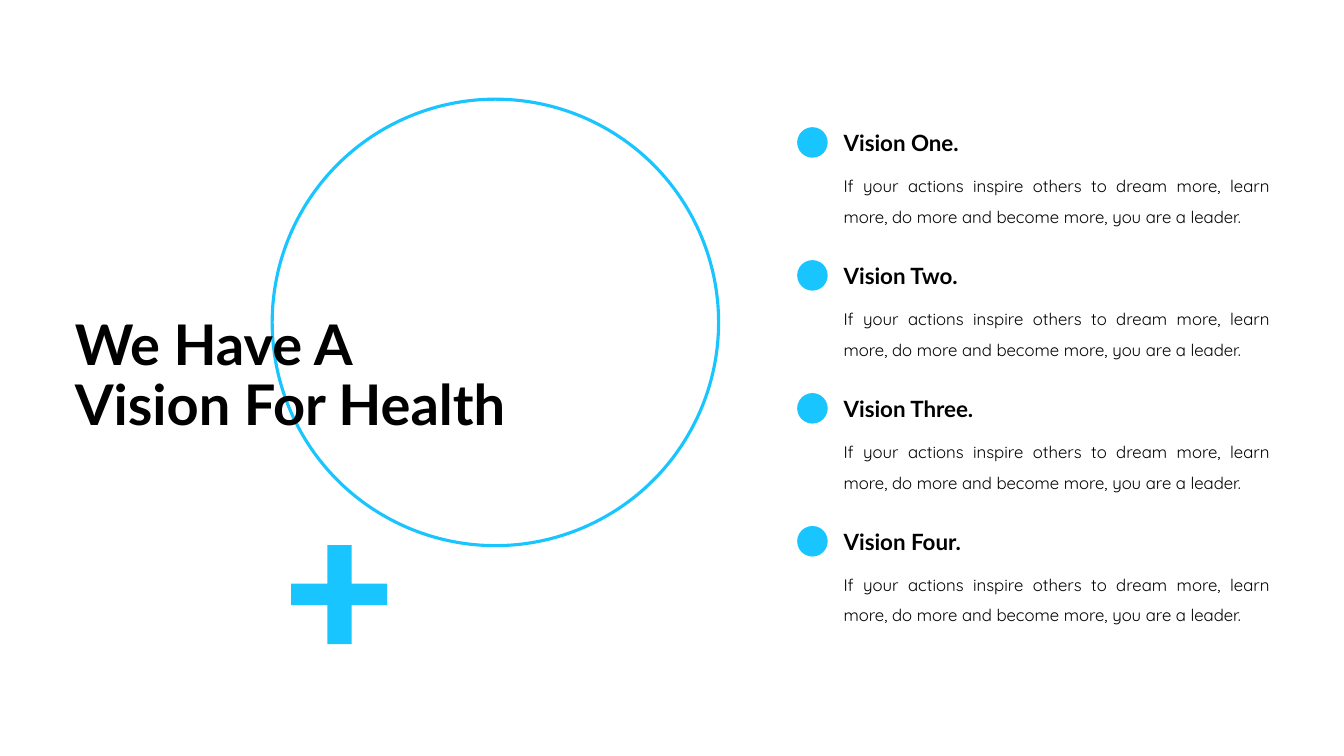
from dataclasses import dataclass

from pptx import Presentation
from pptx.dml.color import RGBColor
from pptx.enum import shapes, text
from pptx.util import Cm, Pt

TITLE = "We Have A \vVision For Health"
ADVICE = "If your actions inspire others to dream more, learn more, do more and become more, you are a leader."
VISIONS = [
    ("Vision One.", ADVICE),
    ("Vision Two.", ADVICE),
    ("Vision Three.", ADVICE),
    ("Vision Four.", ADVICE),
]


@dataclass(frozen=True)
class Theme:
    accent: RGBColor = RGBColor(0x19, 0xC5, 0xFF)
    ink: RGBColor = RGBColor(0, 0, 0)
    paper: RGBColor = RGBColor(0xFF, 0xFF, 0xFF)
    heading_font: str = "Lato"
    body_font: str = "Quicksand"
    title_size: int = 40
    heading_size: int = 16
    body_size: int = 12
    ring_width: float = 2.25


THEME = Theme()
FIRST_TOP, VISION_STEP = 3.12, 3.35
TEXT_LEFT, DOT_LEFT, DOT_SIZE = 21.01, 20.09, 0.77
HEADING_HEIGHT = 0.94
CROSS_X = (7.34, 8.25, 8.86, 9.76)
CROSS_Y = (13.74, 14.71, 15.25, 16.23)


def write(box, words, font, size, bold=False, align=text.PP_ALIGN.LEFT, spacing=None):
    frame = box.text_frame
    frame.word_wrap = True
    frame.text = words
    para = frame.paragraphs[0]
    para.alignment = align
    para.line_spacing = spacing
    for span in para.runs:
        span.font.name = font
        span.font.size = Pt(size)
        span.font.bold = bold
        span.font.color.rgb = THEME.ink
    return frame


def add_circle(page, left, top, size, fill=None):
    circle = page.shapes.add_shape(
        shapes.MSO_SHAPE.OVAL, Cm(left), Cm(top), Cm(size), Cm(size)
    )
    circle.shadow.inherit = False
    if fill is None:
        circle.fill.background()
        circle.line.color.rgb = THEME.accent
        circle.line.width = Pt(THEME.ring_width)
    else:
        circle.fill.solid()
        circle.fill.fore_color.rgb = fill
        circle.line.fill.background()


def add_cross(page):
    x, y = CROSS_X, CROSS_Y
    corners = [
        (x[1], y[0]), (x[2], y[0]), (x[2], y[1]), (x[3], y[1]),
        (x[3], y[2]), (x[2], y[2]), (x[2], y[3]), (x[1], y[3]),
        (x[1], y[2]), (x[0], y[2]), (x[0], y[1]), (x[1], y[1]),
    ]
    points = [(Cm(across), Cm(down)) for across, down in corners]
    builder = page.shapes.build_freeform(*points[0])
    builder.add_line_segments(points[1:], close=True)
    cross = builder.convert_to_shape()
    cross.shadow.inherit = False
    cross.fill.solid()
    cross.fill.fore_color.rgb = THEME.accent
    cross.line.fill.background()


def add_vision(page, top, heading, advice):
    heading_box = page.shapes.add_textbox(
        Cm(TEXT_LEFT), Cm(top), Cm(7.24), Cm(HEADING_HEIGHT)
    )
    frame = write(heading_box, heading, THEME.heading_font, THEME.heading_size, bold=True)
    frame.vertical_anchor = text.MSO_ANCHOR.MIDDLE
    frame.auto_size = text.MSO_AUTO_SIZE.SHAPE_TO_FIT_TEXT

    advice_box = page.shapes.add_textbox(
        Cm(TEXT_LEFT), Cm(top + HEADING_HEIGHT), Cm(11.25), Cm(1.8)
    )
    frame = write(
        advice_box, advice, THEME.body_font, THEME.body_size,
        align=text.PP_ALIGN.JUSTIFY, spacing=1.5,
    )
    frame.auto_size = text.MSO_AUTO_SIZE.SHAPE_TO_FIT_TEXT

    dot_top = top + (HEADING_HEIGHT - DOT_SIZE) / 2
    add_circle(page, DOT_LEFT, dot_top, DOT_SIZE, THEME.accent)


def place_title(page):
    title = page.shapes.title
    title.left, title.top, title.width, title.height = Cm(1.63), Cm(7.67), Cm(12.9), Cm(3.68)
    frame = write(
        title, TITLE, THEME.heading_font, THEME.title_size, bold=True, spacing=0.9
    )
    frame.vertical_anchor = text.MSO_ANCHOR.MIDDLE
    frame.auto_size = text.MSO_AUTO_SIZE.NONE
    page.shapes._spTree.append(title._element)


def main():
    deck = Presentation()
    deck.slide_width, deck.slide_height = Cm(33.87), Cm(19.05)
    page = deck.slides.add_slide(deck.slide_layouts.get_by_name("Title Only"))
    add_circle(page, 5.99, 3.03, 12.99, THEME.paper)
    add_circle(page, 6.86, 2.5, 11.25)
    add_cross(page)
    for index, (heading, advice) in enumerate(VISIONS):
        add_vision(page, FIRST_TOP + index * VISION_STEP, heading, advice)
    place_title(page)
    deck.save("out.pptx")


if __name__ == "__main__":
    main()
